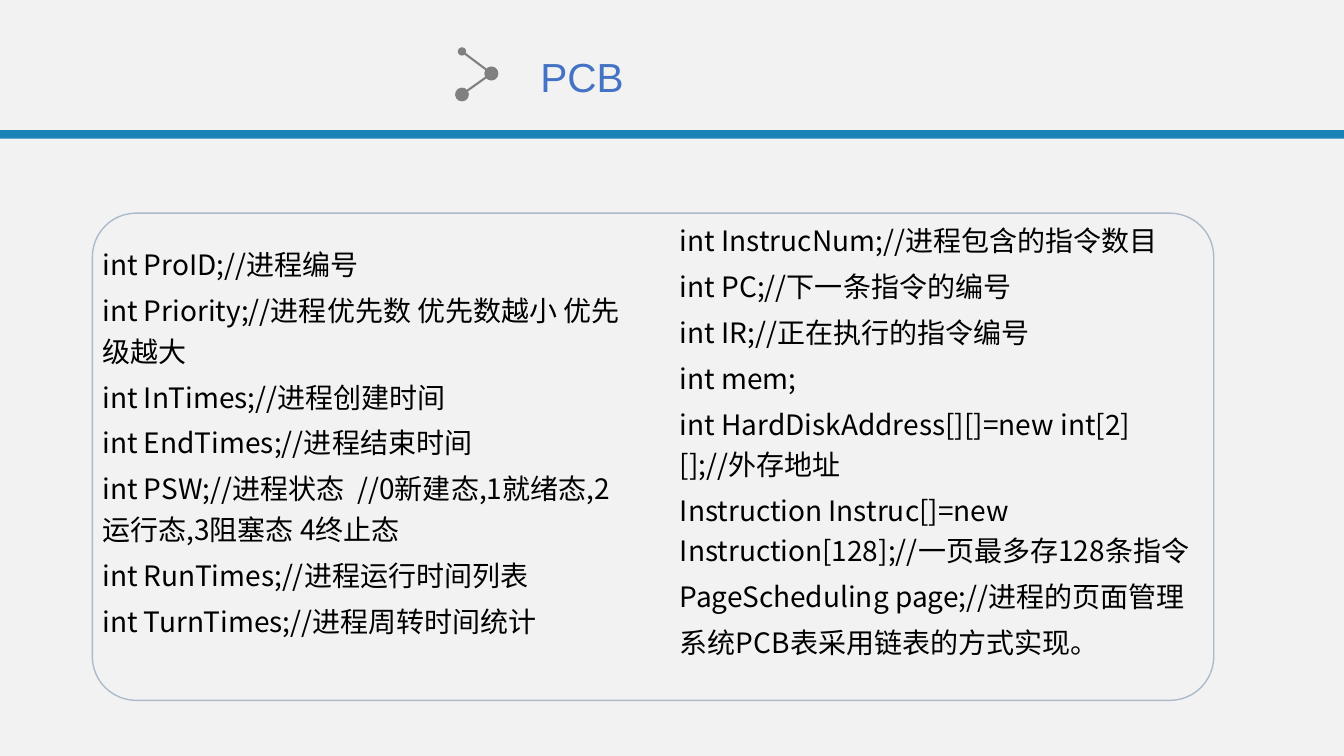
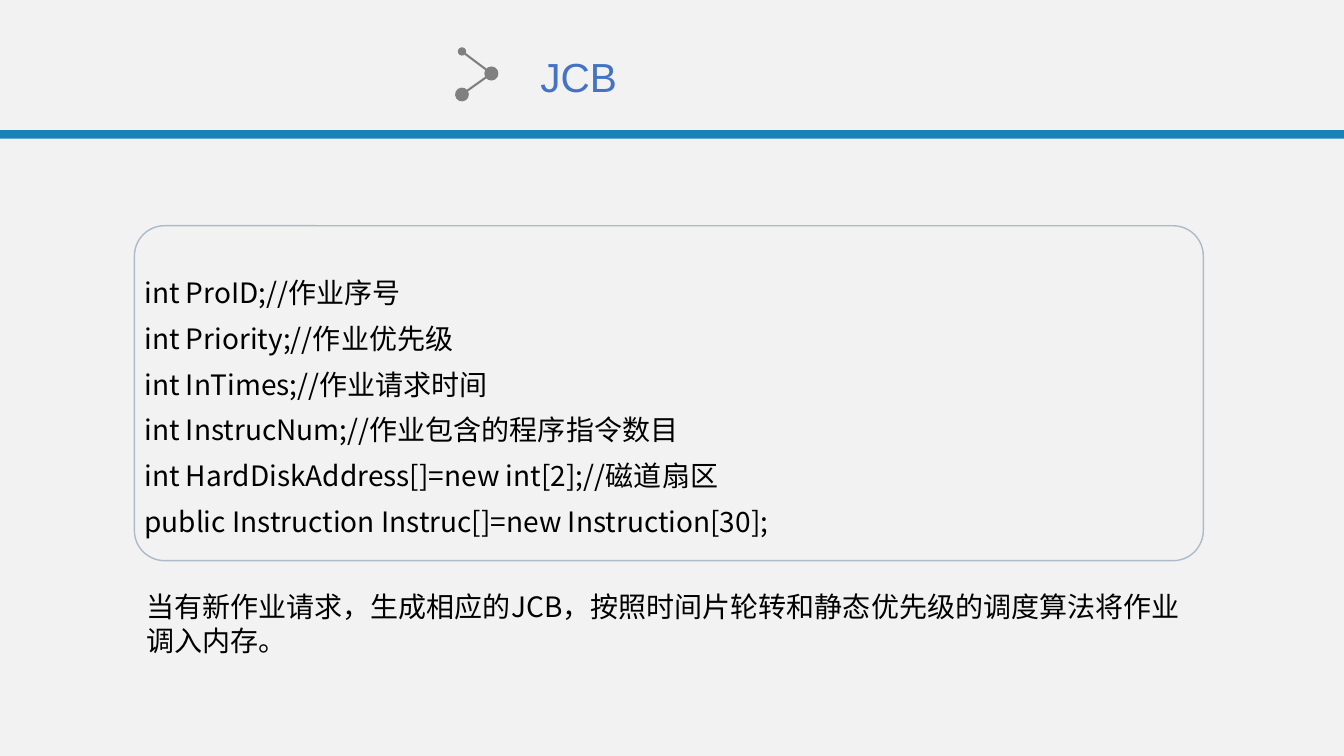
from lxml import etree
from pptx import Presentation
from pptx import util as u
from pptx.dml.color import RGBColor
from pptx.enum import shapes, text
from pptx.oxml.ns import qn

PAPER, BAND, TITLE = "F2F2F2", "1983B7", "4472C4"
MARK, EDGE, INK = "808080", "ADBACA", "000000"
HEAD, BODY = "Arial", "Noto Sans CJK SC"

PROC_LEFT = [
    "int ProID;//进程编号",
    "int Priority;//进程优先数 优先数越小 优先级越大",
    "int InTimes;//进程创建时间",
    "int EndTimes;//进程结束时间",
    "int PSW;//进程状态  //0新建态,1就绪态,2运行态,3阻塞态 4终止态",
    "int RunTimes;//进程运行时间列表",
    "int TurnTimes;//进程周转时间统计",
]
PROC_RIGHT = [
    "int InstrucNum;//进程包含的指令数目",
    "int PC;//下一条指令的编号",
    "int IR;//正在执行的指令编号",
    "int mem;",
    "int HardDiskAddress[][]=new int[2][];//外存地址",
    "Instruction Instruc[]=new Instruction[128];//一页最多存128条指令",
    "PageScheduling page;//进程的页面管理",
    "系统PCB表采用链表的方式实现。",
]
JOB = [
    "int ProID;//作业序号",
    "int Priority;//作业优先级",
    "int InTimes;//作业请求时间",
    "int InstrucNum;//作业包含的程序指令数目",
    "int HardDiskAddress[]=new int[2];//磁道扇区",
    "public Instruction Instruc[]=new Instruction[30];",
]
JOB_NOTE = ["当有新作业请求，生成相应的JCB，按照时间片轮转和静态优先级的调度算法将作业调入内存。"]


def px(*nums):
    return [u.Emu(n * 9525) for n in nums]


def rgb(code):
    return RGBColor.from_string(code)


def write(frame, lines, size=20, font=BODY, color=INK, pitch=None, gap=0,
          anchor=text.MSO_ANCHOR.TOP):
    frame.word_wrap = True
    frame.auto_size = text.MSO_AUTO_SIZE.NONE
    frame.vertical_anchor = anchor
    for i, line in enumerate(lines):
        para = frame.add_paragraph() if i else frame.paragraphs[0]
        para.alignment = text.PP_ALIGN.LEFT
        para.line_spacing = pitch
        para.space_before = u.Pt(gap if i else 0)
        run = para.add_run()
        run.text = line
        run.font.size = u.Pt(size)
        run.font.name = font
        run.font.color.rgb = rgb(color)
        etree.SubElement(run.font._element, qn("a:ea"), typeface=font)


def note(slide, box, lines, **style):
    write(slide.shapes.add_textbox(*px(*box)).text_frame, lines, **style)


def code(slide, box, lines):
    note(slide, box, lines, pitch=1.2, gap=4)


def shape(slide, kind, box, fill=None, edge=None):
    item = slide.shapes.add_shape(kind, *px(*box))
    item.shadow.inherit = False
    if fill:
        item.fill.solid()
        item.fill.fore_color.rgb = rgb(fill)
    else:
        item.fill.background()
    if edge:
        item.line.color.rgb = rgb(edge)
        item.line.width = u.Pt(1)
    else:
        item.line.fill.background()
    return item


def panel(slide, box):
    item = shape(slide, shapes.MSO_SHAPE.ROUNDED_RECTANGLE, box, edge=EDGE)
    item.adjustments[0] = 0.09


def link(slide, start, end, head):
    line = slide.shapes.add_connector(
        shapes.MSO_CONNECTOR.STRAIGHT, *px(*start, *end))
    line.line.color.rgb = rgb(MARK)
    line.line.width = u.Pt(1.5)
    for tag, size in (("a:headEnd", head), ("a:tailEnd", "lg")):
        etree.SubElement(line.line._get_or_add_ln(), qn(tag),
                         type="oval", w=size, len=size)
    etree.SubElement(line._element.spPr, qn("a:effectLst"))


def page(deck, name):
    slide = deck.slides.add_slide(deck.slide_layouts.get_by_name("Title Only"))
    shape(slide, shapes.MSO_SHAPE.RECTANGLE, (0, 124, 1280, 8), fill=BAND)
    title = slide.shapes.title
    title.left, title.top, title.width, title.height = px(505, 44, 134, 57)
    write(title.text_frame, [name], size=29, font=HEAD, color=TITLE,
          anchor=text.MSO_ANCHOR.MIDDLE)
    link(slide, (440, 49), (468, 70), "med")
    link(slide, (468, 70), (440, 90), "lg")
    return slide


def main():
    deck = Presentation()
    deck.slide_width, deck.slide_height = px(1280, 720)
    back = deck.slide_master.background.fill
    back.solid()
    back.fore_color.rgb = rgb(PAPER)

    proc = page(deck, "PCB")
    panel(proc, (88, 203, 1068, 464))
    code(proc, (88, 225, 516, 390), PROC_LEFT)
    code(proc, (638, 202, 516, 471), PROC_RIGHT)

    job = page(deck, "JCB")
    panel(job, (128, 215, 1018, 319))
    code(job, (128, 251, 1002, 267), JOB)
    note(job, (130, 557, 1018, 74), JOB_NOTE)

    deck.save("out.pptx")


if __name__ == "__main__":
    main()
